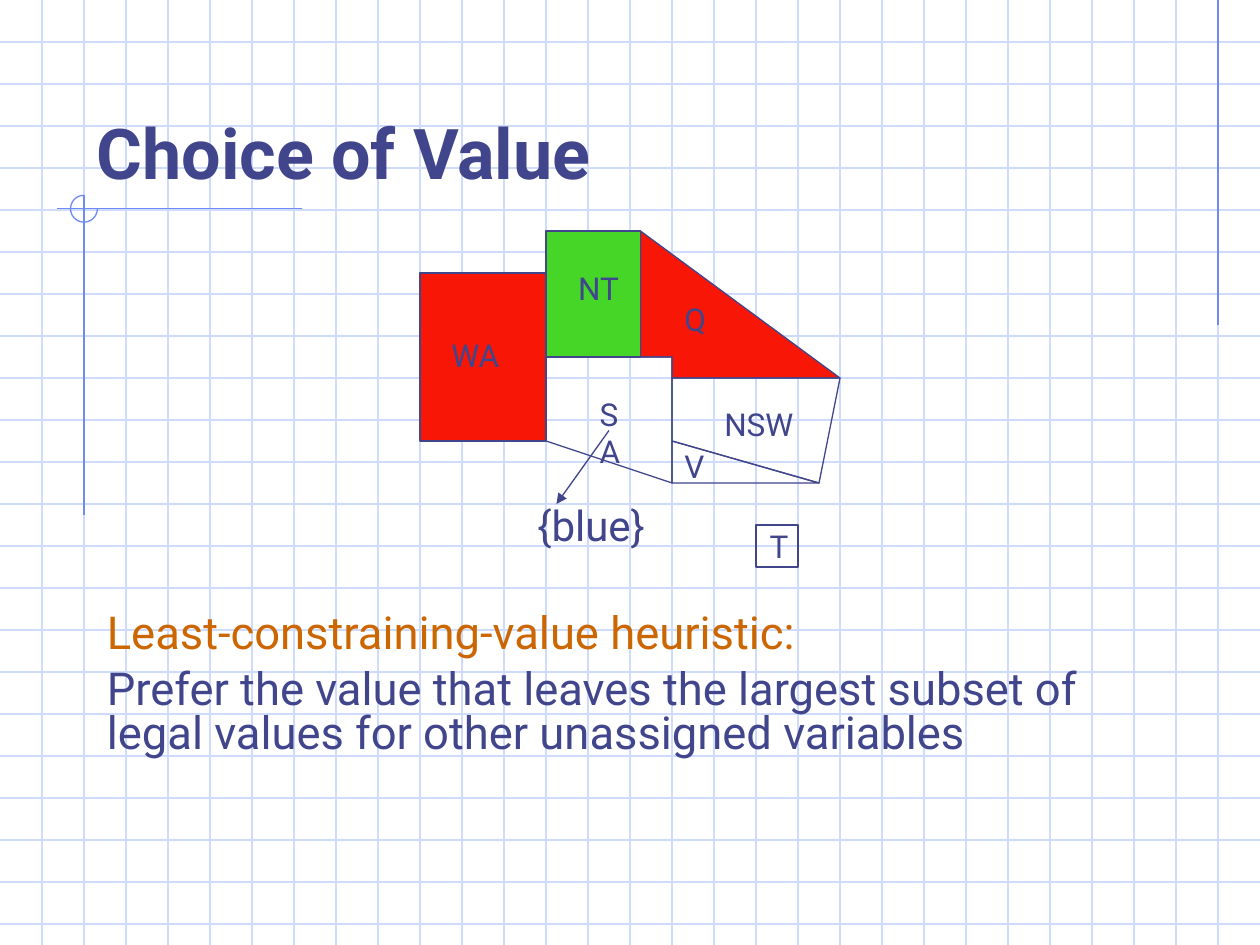
from dataclasses import dataclass

from lxml import etree
from pptx import Presentation
from pptx import util as u
from pptx.dml.color import RGBColor
from pptx.enum import shapes, text
from pptx.oxml.ns import qn

COLUMNS, ROWS = 30, 22.5  # square cells on a 10 by 7.5 inch slide


@dataclass(frozen=True)
class Theme:
    font: str = "Roboto"
    ink: str = "40458C"
    accent: str = "CC6600"
    grid: str = "CFDBFD"
    rule: str = "6F89F7"
    red: str = "F81706"
    green: str = "45D628"
    title_size: float = 40
    body_size: float = 25.9
    domain_size: float = 24
    label_size: float = 18
    line_width: float = 0.75


class SlideBuilder:
    """Places elements on a slide, with all lengths in grid cells."""

    def __init__(self, deck, theme):
        self.theme = theme
        self.cell = deck.slide_width / COLUMNS
        self.slide = deck.slides.add_slide(deck.slide_layouts[5])
        self.shapes = self.slide.shapes

    def emu(self, *cells):
        return [u.Emu(round(value * self.cell)) for value in cells]

    def style_font(self, font, size, color, bold=False):
        font.name, font.size, font.bold = self.theme.font, u.Pt(size), bold
        font.color.rgb = RGBColor.from_string(color)

    def style_outline(self, shape, color):
        shape.line.color.rgb = RGBColor.from_string(color)
        shape.line.width = u.Pt(self.theme.line_width)

    def style_shape(self, shape, fill, color):
        shape.shadow.inherit = False
        if fill:
            shape.fill.solid()
            shape.fill.fore_color.rgb = RGBColor.from_string(fill)
        else:
            shape.fill.background()
        self.style_outline(shape, color)

    def line(self, start, end, color, arrow=False):
        connector = self.shapes.add_connector(
            shapes.MSO_CONNECTOR.STRAIGHT, *self.emu(*start, *end))
        self.style_outline(connector, color)
        if arrow:
            outline = connector.line._get_or_add_ln()
            etree.SubElement(outline, qn("a:tailEnd"), type="triangle")
        etree.SubElement(connector._element.spPr, qn("a:effectLst"))

    def rectangle(self, place, fill=None):
        box = self.shapes.add_shape(
            shapes.MSO_SHAPE.RECTANGLE, *self.emu(*place))
        self.style_shape(box, fill, self.theme.ink)

    def polygon(self, points, fill=None):
        start, *rest = [self.emu(*point) for point in points]
        builder = self.shapes.build_freeform(*start)
        builder.add_line_segments(rest, close=True)
        self.style_shape(builder.convert_to_shape(), fill, self.theme.ink)

    def three_quarter_circle(self, center, radius, color):
        left, top = (value - radius for value in center)
        arc = self.shapes.add_shape(
            shapes.MSO_SHAPE.ARC, *self.emu(left, top, 2 * radius, 2 * radius))
        arc.adjustments[0], arc.adjustments[1] = 0, 162  # right round to top
        self.style_shape(arc, None, color)

    def title(self, words, place):
        title = self.shapes.title
        title.left, title.top, title.width, title.height = self.emu(*place)
        frame = title.text_frame
        frame.text = words
        frame.auto_size = text.MSO_AUTO_SIZE.NONE
        frame.vertical_anchor = text.MSO_ANCHOR.BOTTOM
        para = frame.paragraphs[0]
        para.alignment = text.PP_ALIGN.LEFT
        self.style_font(para.font, self.theme.title_size, self.theme.ink, True)
        # The title stands in front of the background grid.
        title._element.getparent().append(title._element)

    def text(self, lines, place, size, wrap=False, spacing=None, gap=0):
        """Add a text box; lines holds (words, color) pairs."""
        box = self.shapes.add_textbox(*self.emu(*place))
        frame = box.text_frame
        frame.word_wrap = wrap
        for index, (words, color) in enumerate(lines):
            para = frame.add_paragraph() if index else frame.paragraphs[0]
            para.text = words
            para.line_spacing = spacing
            if index and gap:
                para.space_before = u.Pt(gap)
            self.style_font(para.font, size, color)

    def background(self):
        theme = self.theme
        for row in range(1, int(ROWS) + 1):
            self.line((0, row), (COLUMNS, row), theme.grid)
        for column in range(1, COLUMNS):
            self.line((column, 0), (column, ROWS), theme.grid)
        self.line((29, 0), (29, 7.75), theme.rule)
        self.line((7.2, 4.97), (1.35, 4.97), theme.rule)
        self.line((2, 4.65), (2, 12.27), theme.rule)
        self.three_quarter_circle((2, 4.97), 0.32, theme.rule)


def main():
    deck = Presentation()
    deck.slide_width, deck.slide_height = u.Inches(10), u.Inches(7.5)
    theme = Theme()
    page = SlideBuilder(deck, theme)

    page.background()
    page.title("Choice of Value", (2, 1, 25.5, 3.75))
    page.text(
        [("Least-constraining-value heuristic:", theme.accent),
         ("Prefer the value that leaves the largest subset of legal values "
          "for other unassigned variables", theme.ink)],
        (2.25, 14.5, 25.5, 4.75), theme.body_size,
        wrap=True, spacing=0.8, gap=7)

    queensland = [(15.25, 5.5), (15.25, 8.5), (16, 8.5), (16, 9), (20, 9)]
    south_australia = [(13, 8.5), (16, 8.5), (16, 11.5), (13, 10.5)]
    new_south_wales = [(16, 9), (16, 10.5), (19.5, 11.5), (20, 9)]
    victoria = [(16, 10.5), (16, 11.5), (19.5, 11.5)]
    page.polygon(queensland, theme.red)
    for region in (south_australia, new_south_wales, victoria):
        page.polygon(region)
    page.rectangle((18, 12.5, 1, 1))  # Tasmania
    page.rectangle((10, 6.5, 3, 4), theme.red)  # Western Australia
    page.rectangle((13, 5.5, 2.25, 3), theme.green)  # Northern Territory

    labels = [
        ("SA", 13.98, 9.25, 1.47), ("Q", 16, 7, 1.17),
        ("NSW", 16.95, 9.5, 2.28), ("V", 16, 10.5, 1.05),
        ("T", 18.03, 12.4, 1.02), ("WA", 10.45, 7.85, 1.77),
        ("NT", 13.47, 6.25, 1.59),
    ]
    for name, left, top, width in labels:
        # The narrow SA box breaks its label over two lines.
        page.text([(name, theme.ink)], (left, top, width, 1.2),
                  theme.label_size, wrap=name == "SA")

    page.text([("{blue}", theme.ink)], (12.5, 11.75, 3.42, 1.5),
              theme.domain_size)
    page.line((14.5, 10.25), (13.25, 12), theme.ink, arrow=True)
    deck.save("out.pptx")


if __name__ == "__main__":
    main()
